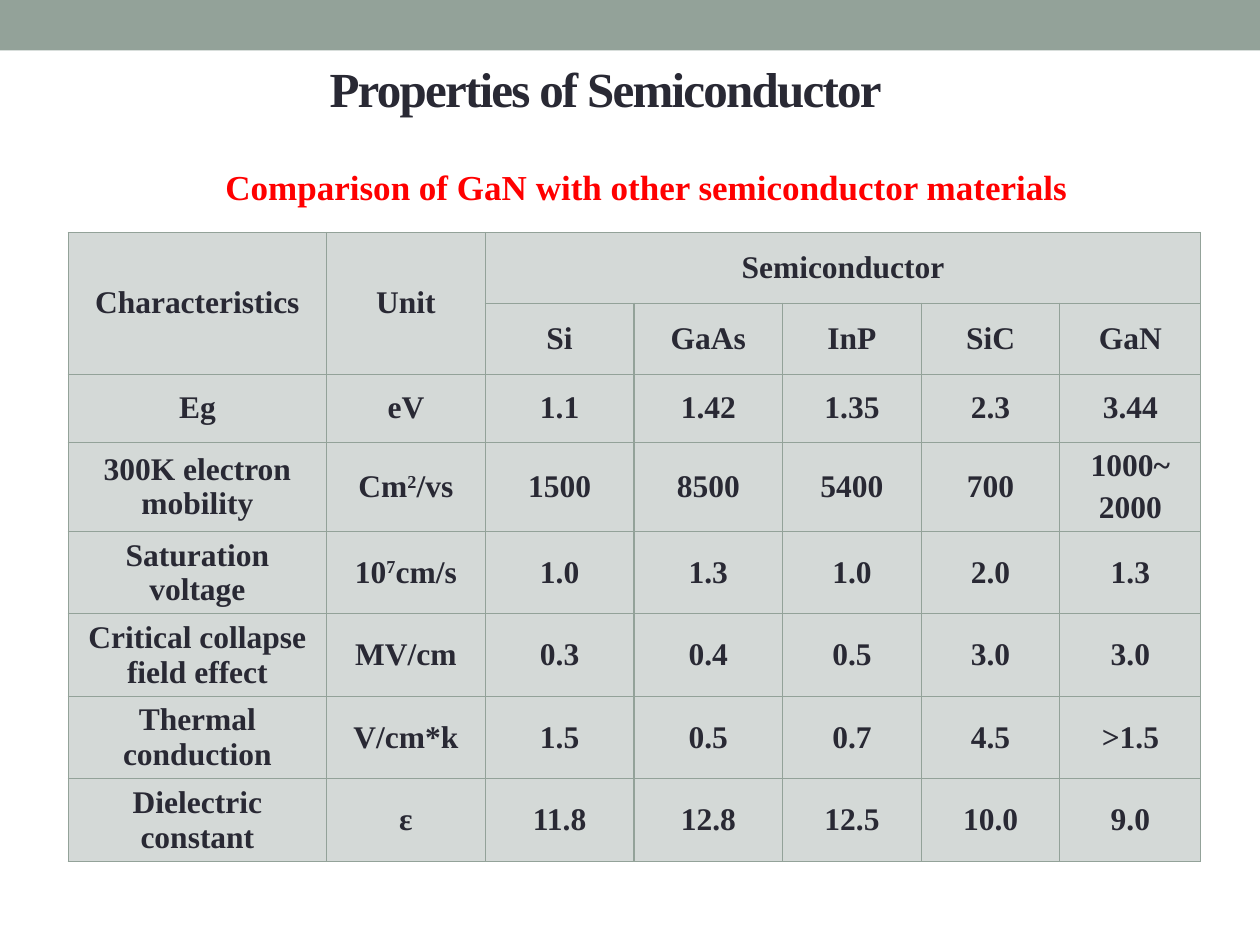
from collections import namedtuple

from lxml import etree
from pptx import Presentation
from pptx.dml.color import RGBColor
from pptx.enum import shapes, text
from pptx.oxml import ns
from pptx.util import Pt

Box = namedtuple("Box", "left top width height")

FONT = "Times New Roman"
COLORS = {"sage": "93A299", "cell": "D4D9D7", "ink": "292934", "red": "FF0000"}

COLUMN_WIDTHS = [147.6, 90.7, 85, 85, 79.2, 79.2, 80.6]
ROW_HEIGHTS = [40.5, 40.5, 38.9] + [40.3] * 5
ROWS = [
    ["Characteristics", "Unit", "Semiconductor", "", "", "", ""],
    ["", "", "Si", "GaAs", "InP", "SiC", "GaN"],
    ["Eg", "eV", "1.1", "1.42", "1.35", "2.3", "3.44"],
    ["300K electron mobility", "Cm^2^/vs", "1500", "8500", "5400", "700", "1000~\n2000"],
    ["Saturation voltage", "10^7^cm/s", "1.0", "1.3", "1.0", "2.0", "1.3"],
    ["Critical collapse field effect", "MV/cm", "0.3", "0.4", "0.5", "3.0", "3.0"],
    ["Thermal conduction", "V/cm*k", "1.5", "0.5", "0.7", "4.5", ">1.5"],
    ["Dielectric constant", "ε", "11.8", "12.8", "12.5", "10.0", "9.0"],
]
MERGES = [((0, 0), (1, 0)), ((0, 1), (1, 1)), ((0, 2), (0, 6))]


def rgb(name):
    return RGBColor.from_string(COLORS[name])


def points(box):
    return [Pt(length) for length in box]


def write(frame, content, size=18, color="ink", align=text.PP_ALIGN.CENTER, before=0, spacing=0):
    for index, line in enumerate(content.split("\n")):
        para = frame.add_paragraph() if index else frame.paragraphs[0]
        para.alignment = align
        para.space_before = Pt(before)
        for part, piece in enumerate(line.split("^")):
            span = para.add_run()
            span.text = piece
            span.font.name = FONT
            span.font.size = Pt(size)
            span.font.bold = True
            span.font.color.rgb = rgb(color)
            properties = span.font._element
            if part % 2:
                properties.set("baseline", "30000")
            if spacing:
                properties.set("spc", str(spacing * 100))


def add_band(page, box):
    band = page.shapes.add_shape(shapes.MSO_SHAPE.RECTANGLE, *points(box))
    band.shadow.inherit = False
    band.fill.solid()
    band.fill.fore_color.rgb = rgb("sage")
    band.line.fill.background()


def place_title(page, box):
    title = page.shapes.title
    title.left, title.top, title.width, title.height = points(box)
    title.text_frame.vertical_anchor = text.MSO_ANCHOR.MIDDLE
    title.text_frame.auto_size = text.MSO_AUTO_SIZE.NONE
    write(title.text_frame, "Properties of Semiconductor", size=28, spacing=-1)


def add_caption(page, box):
    frame = page.shapes.add_textbox(*points(box)).text_frame
    frame.word_wrap = False
    frame.auto_size = text.MSO_AUTO_SIZE.SHAPE_TO_FIT_TEXT
    write(frame, "Comparison of GaN with other semiconductor materials",
          size=20, color="red", align=text.PP_ALIGN.LEFT)


def outline(cell, color, width):
    properties = cell._tc.get_or_add_tcPr()
    for side in ("a:lnL", "a:lnR", "a:lnT", "a:lnB"):
        line = etree.SubElement(properties, ns.qn(side), w=str(Pt(width)))
        fill = etree.SubElement(line, ns.qn("a:solidFill"))
        etree.SubElement(fill, ns.qn("a:srgbClr"), val=COLORS[color])


def add_properties_table(page, box):
    holder = page.shapes.add_table(len(ROWS), len(COLUMN_WIDTHS), *points(box))
    table = holder.table
    table.first_row = False
    table.horz_banding = False
    for column, width in zip(table.columns, COLUMN_WIDTHS):
        column.width = Pt(width)
    for row, height, values in zip(table.rows, ROW_HEIGHTS, ROWS):
        row.height = Pt(height)
        for cell, value in zip(row.cells, values):
            cell.vertical_anchor = text.MSO_ANCHOR.MIDDLE
            outline(cell, "sage", 0.75)
            cell.fill.solid()
            cell.fill.fore_color.rgb = rgb("cell")
            if value:
                write(cell.text_frame, value, before=4)
    for first, last in MERGES:
        table.cell(*first).merge(table.cell(*last))


def main():
    deck = Presentation()
    deck.slide_width, deck.slide_height = Pt(720), Pt(540)
    page = deck.slides.add_slide(deck.slide_layouts[5])
    add_band(page, Box(0, 0, 720, 28.8))
    add_properties_table(page, Box(39, 132.8, sum(COLUMN_WIDTHS), sum(ROW_HEIGHTS)))
    place_title(page, Box(20, 11, 652, 78))
    add_caption(page, Box(121.7, 91, 499, 31.5))
    deck.save("out.pptx")


if __name__ == "__main__":
    main()
